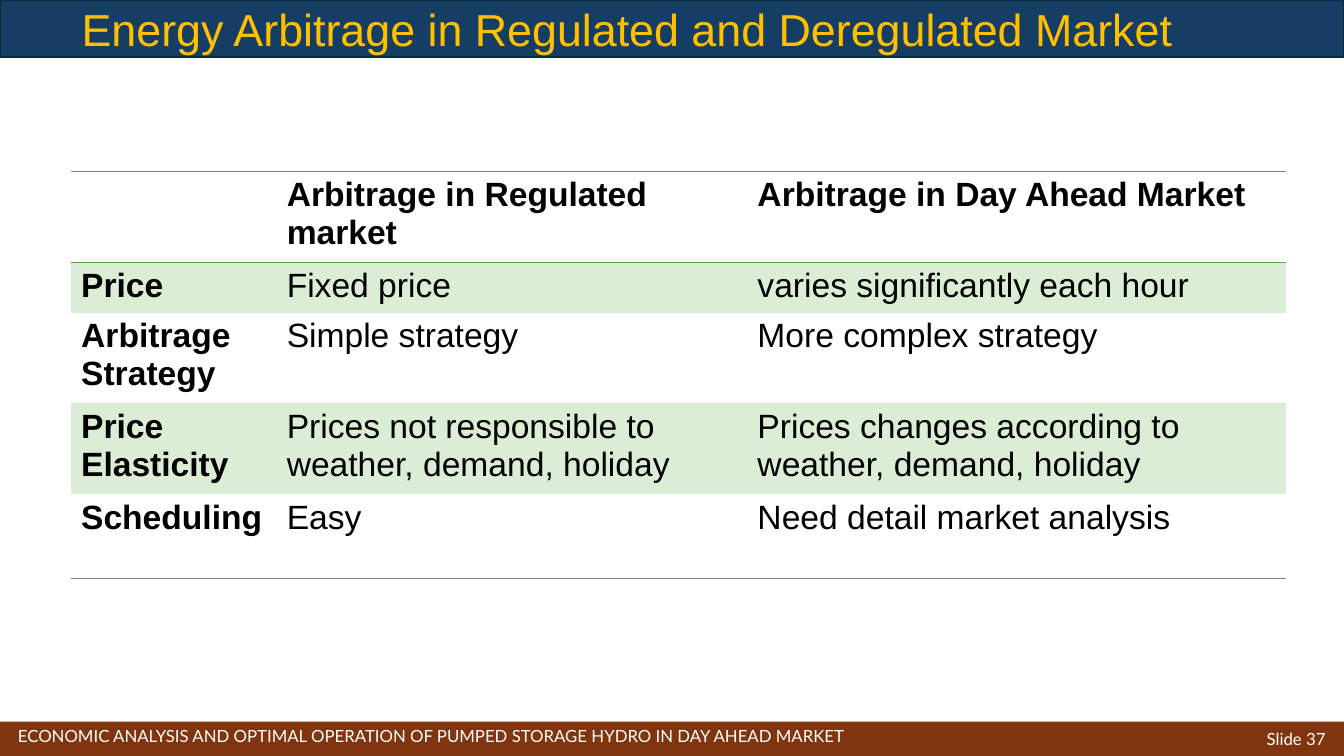
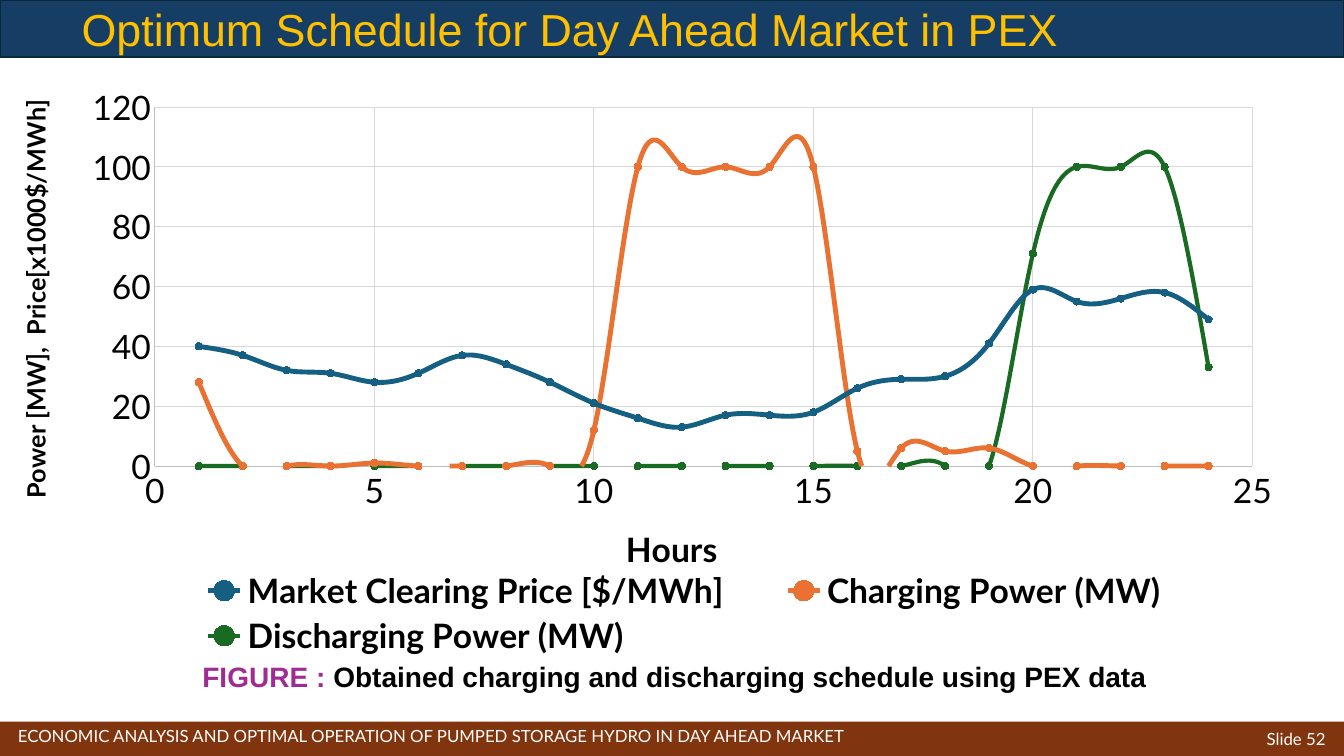
from lxml import etree
from pptx import Presentation
from pptx import util as u
from pptx.chart import data as cd
from pptx.dml.color import RGBColor
from pptx.enum import chart as ce, shapes as sh, text as tx
from pptx.oxml import parse_xml
from pptx.oxml.ns import nsdecls, qn

HUES = {
    "navy": "163E64", "edge": "092A39", "rust": "80350E", "gold": "FFC000",
    "white": "FFFFFF", "black": "000000", "leaf": "4EA72E", "mint": "DBEDD5",
    "gray": "808080", "plum": "A02B93", "grid": "D9D9D9", "axis": "BFBFBF",
    "price": "156082", "charge": "E97132", "drain": "196B24",
}
UNIT = u.Inches(0.1)
WIDE, TALL = 133.33, 75
FONTS = {
    "title": {"name": "Arial", "size": u.Pt(32), "bold": False},
    "foot": {"name": "Lato", "size": u.Pt(12)},
    "cell": {"name": "Arial", "size": u.Pt(24), "bold": False},
    "head": {"name": "Arial", "size": u.Pt(24), "bold": True},
    "note": {"name": "Arial", "size": u.Pt(20), "bold": True},
    "tick": {"name": "Lato", "size": u.Pt(24), "bold": False},
    "key": {"name": "Lato", "size": u.Pt(24), "bold": True},
    "label": {"name": "Lato", "size": u.Pt(18), "bold": True},
}
PAPER = "ECONOMIC ANALYSIS AND OPTIMAL OPERATION OF PUMPED STORAGE HYDRO IN DAY AHEAD MARKET"
NO_STYLE = "{2D5ABB26-0587-4C30-8999-92F81FD0307C}"

ROWS = [
    ("", "Arbitrage in Regulated market", "Arbitrage in Day Ahead Market"),
    ("Price", "Fixed price", "varies significantly each hour"),
    ("Arbitrage Strategy", "Simple strategy", "More complex strategy"),
    ("Price\nElasticity", "Prices not responsible to weather, demand, holiday",
     "Prices changes according to weather, demand, holiday"),
    ("Scheduling", "Easy", "Need detail market analysis"),
]
COLS = (20.4, 46.7, 53.4)
HEIGHTS = (8.4, 4.9, 8.4, 8.4, 8.4)
SERIES = [
    ("Market Clearing Price [$/MWh]", "price", 3.5,
     [40, 37, 32, 31, 28, 31, 37, 34, 28, 21, 16, 13,
      17, 17, 18, 26, 29, 30, 41, 59, 55, 56, 58, 49]),
    ("Charging Power (MW)", "charge", 3.5,
     [28, 0, 0, 0, 1, 0, 0, 0, 0, 12] + [100] * 5 + [5, 6, 5, 6] + [0] * 5),
    ("Discharging Power (MW)", "drain", 3, [0] * 19 + [71, 100, 100, 100, 33]),
]


def hue(name):
    return RGBColor.from_string(HUES[name])


def apply(item, vals):
    for key, val in vals.items():
        setattr(item, key, val)


def ink(font, kind, color):
    apply(font, FONTS[kind])
    font.color.rgb = hue(color)


def stroke(line, color, width):
    line.color.rgb = hue(color)
    line.width = u.Pt(width)


def grid(*box):
    return [int(n * UNIT) for n in box]


def write(para, parts, kind):
    for words, color in parts:
        run = para.add_run()
        run.text = words
        ink(run.font, kind, color)


def label(slide, box, parts, kind, align=tx.PP_ALIGN.LEFT):
    frame = slide.shapes.add_textbox(*grid(*box)).text_frame
    apply(frame, {"word_wrap": True, "vertical_anchor": tx.MSO_ANCHOR.MIDDLE})
    frame.paragraphs[0].alignment = align
    write(frame.paragraphs[0], parts, kind)


def bands(deck, slide):
    tree = deck.slide_master.shapes.element
    specs = [((0, 0, WIDE, 5.65), "navy", "edge"),
             ((0, 71.6, WIDE, 3.4), "rust", None)]
    for num, (box, fill, edge) in enumerate(specs):
        band = slide.shapes.add_shape(sh.MSO_SHAPE.RECTANGLE, *grid(*box))
        band.shadow.inherit = False
        band.fill.solid()
        band.fill.fore_color.rgb = hue(fill)
        if edge:
            stroke(band.line, edge, 1.5)
        else:
            band.line.fill.background()
        band.element.xpath(".//p:cNvPr")[0].set("id", str(50 + num))
        tree.insert(2 + num, band.element)


def base(deck, name, num):
    slide = deck.slides.add_slide(deck.slide_layouts[5])
    title = slide.shapes.title
    apply(title, dict(zip(("left", "top", "width", "height"), grid(7.1, 0.7, 115, 4.9))))
    frame = title.text_frame
    apply(frame, {"word_wrap": True, "auto_size": tx.MSO_AUTO_SIZE.NONE,
                  "vertical_anchor": tx.MSO_ANCHOR.MIDDLE})
    apply(frame.paragraphs[0], {"alignment": tx.PP_ALIGN.LEFT, "line_spacing": 0.9})
    write(frame.paragraphs[0], [(name, "gold")], "title")
    label(slide, (102.5, 71.3, 30, 4), [(f"Slide {num}", "white")], "foot", tx.PP_ALIGN.RIGHT)
    label(slide, (0.8, 71, 100, 4), [(PAPER, "white")], "foot")
    return slide


def rule(cell, side, color):
    props = cell._tc.get_or_add_tcPr()
    line = parse_xml(
        f'<a:{side} {nsdecls("a")} w="12700"><a:solidFill>'
        f'<a:srgbClr val="{HUES[color]}"/></a:solidFill></a:{side}>')
    props.insert(len(props.findall(qn("a:lnT"))), line)


def matrix(slide, box):
    frame = slide.shapes.add_table(len(ROWS), len(COLS), *grid(*box))
    table = frame.table
    apply(table, {"first_row": False, "horz_banding": False})
    table._tbl.tblPr.find(qn("a:tableStyleId")).text = NO_STYLE
    for col, part in zip(table.columns, COLS):
        col.width = int(box[2] * part / sum(COLS) * UNIT)
    for row, part in zip(table.rows, HEIGHTS):
        row.height = int(box[3] * part / sum(HEIGHTS) * UNIT)
    last = len(ROWS) - 1
    for r, row in enumerate(ROWS):
        for c, words in enumerate(row):
            cell = table.cell(r, c)
            cell.text = words
            for para in cell.text_frame.paragraphs:
                ink(para.font, "cell" if r and c else "head", "black")
            if r % 2:
                cell.fill.solid()
                cell.fill.fore_color.rgb = hue("mint")
            else:
                cell.fill.background()
            if r == 0:
                rule(cell, "lnT", "gray")
                rule(cell, "lnB", "leaf")
            if r == last:
                rule(cell, "lnB", "gray")


def pin(node, spot, **shares):
    old = node.find(qn("c:layout"))
    if old is not None:
        node.remove(old)
    layout = parse_xml(f'<c:layout {nsdecls("c")}><c:manualLayout/></c:layout>')
    vals = {"xMode": "edge", "yMode": "edge", **shares}
    if node.tag == qn("c:plotArea"):
        vals = {"layoutTarget": "inner", **vals}
    for key, val in vals.items():
        etree.SubElement(layout[0], qn(f"c:{key}")).set("val", str(val))
    node.insert(spot, layout)


def scale(axis, words, kind, top, step):
    apply(axis, {"minimum_scale": 0, "maximum_scale": top, "major_unit": step,
                 "has_major_gridlines": True, "has_title": True,
                 "major_tick_mark": ce.XL_TICK_MARK.NONE,
                 "minor_tick_mark": ce.XL_TICK_MARK.NONE})
    stroke(axis.major_gridlines.format.line, "grid", 0.75)
    stroke(axis.format.line, "axis", 0.75)
    ink(axis.tick_labels.font, "tick", "black")
    write(axis.axis_title.text_frame.paragraphs[0], [(words, "black")], kind)


def curves(slide, box):
    data = cd.XyChartData(number_format="0")
    for name, _, _, vals in SERIES:
        line = data.add_series(name)
        for hour, val in enumerate(vals, 1):
            line.add_data_point(hour, val)
    chart = slide.shapes.add_chart(
        ce.XL_CHART_TYPE.XY_SCATTER_SMOOTH, *grid(*box), data).chart
    apply(chart, {"has_title": False, "has_legend": True})
    ink(chart.font, "tick", "black")
    apply(chart.legend, {"position": ce.XL_LEGEND_POSITION.BOTTOM,
                         "include_in_layout": False})
    ink(chart.legend.font, "key", "black")
    chart.plots[0].vary_by_categories = False
    scale(chart.category_axis, "Hours", "key", 25, 5)
    scale(chart.value_axis, "Power [MW],  Price[x1000$/MWh]", "label", 120, 20)
    for line, (_, color, width, _) in zip(chart.plots[0].series, SERIES):
        stroke(line.format.line, color, width)
        mark = line.marker
        apply(mark, {"style": ce.XL_MARKER_STYLE.CIRCLE, "size": 5})
        mark.format.fill.solid()
        mark.format.fill.fore_color.rgb = hue(color)
        stroke(mark.format.line, color, 0.75)
    root = chart.element
    for ser in root.xpath(".//c:ser"):
        for old in ser.findall(qn("c:smooth")):
            ser.remove(old)
        etree.SubElement(ser, qn("c:smooth")).set("val", "1")
    across, upright = root.xpath(".//c:valAx/c:title")
    turn = upright.find(".//" + qn("a:bodyPr"))
    for key, val in {"rot": "-5400000", "vert": "horz"}.items():
        turn.set(key, val)
    pin(root.xpath(".//c:plotArea")[0], 0, x=0.12, y=0.05, w=0.85, h=0.61)
    pin(across, 1, x=0.48, y=0.75)
    pin(upright, 1, x=0.01, y=0.03)
    pin(root.xpath(".//c:legend")[0], 1, x=0.12, y=0.83, w=0.82, h=0.16)


def main():
    deck = Presentation()
    apply(deck, {"slide_width": int(WIDE * UNIT), "slide_height": int(TALL * UNIT)})
    market = base(deck, "Energy Arbitrage in Regulated and Deregulated Market", 37)
    bands(deck, market)
    matrix(market, (7.05, 17, 120.5, 38.5))
    plan = base(deck, "Optimum Schedule for Day Ahead Market in PEX", 52)
    curves(plan, (0, 7.7, 128.1, 58.4))
    label(plan, (19.1, 64.9, 105, 4.4),
          [("FIGURE : ", "plum"),
           ("Obtained charging and discharging schedule using PEX data", "black")], "note")
    deck.save("out.pptx")


if __name__ == "__main__":
    main()
